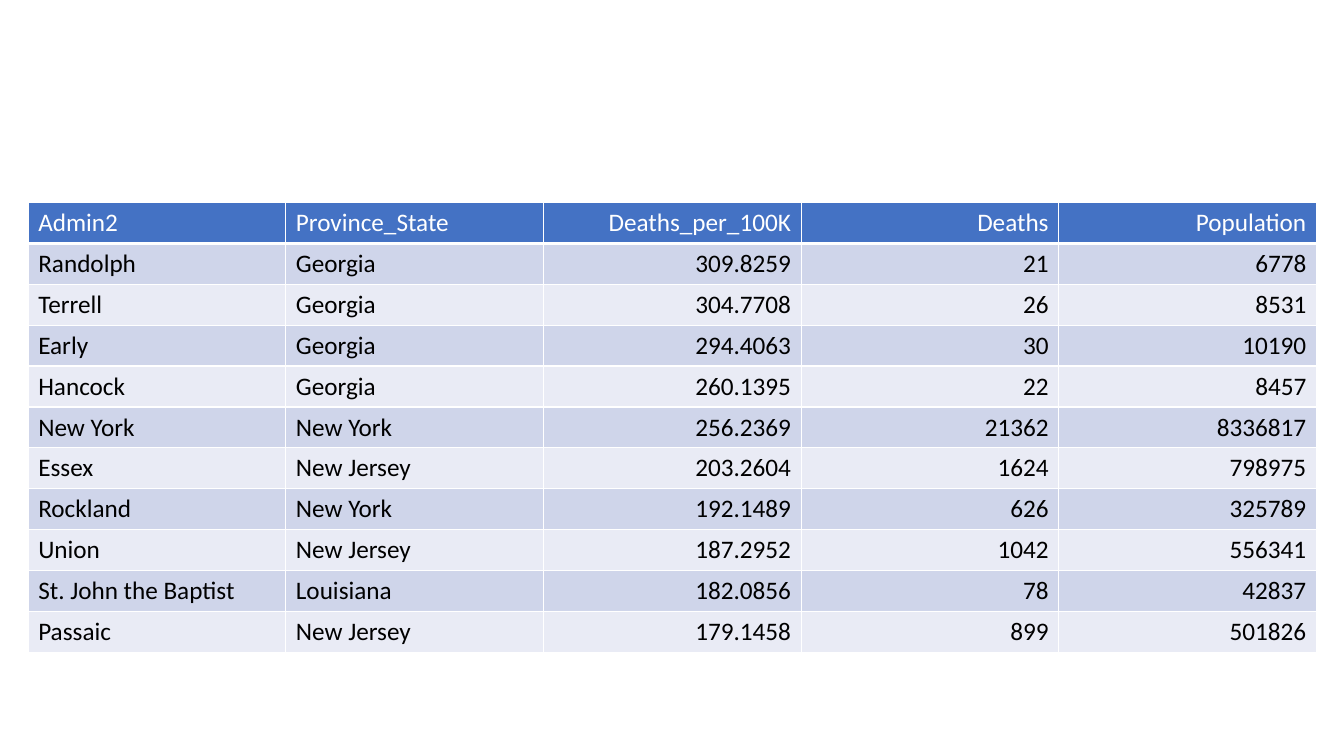
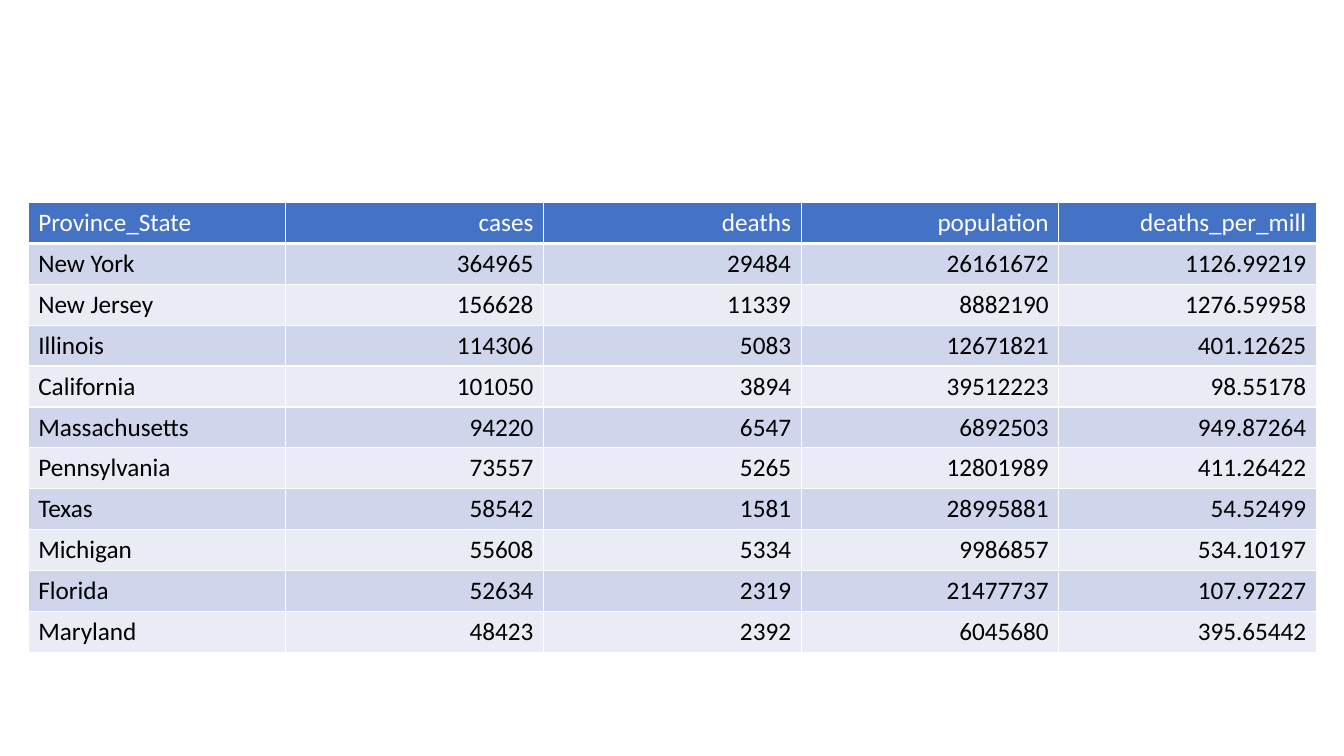
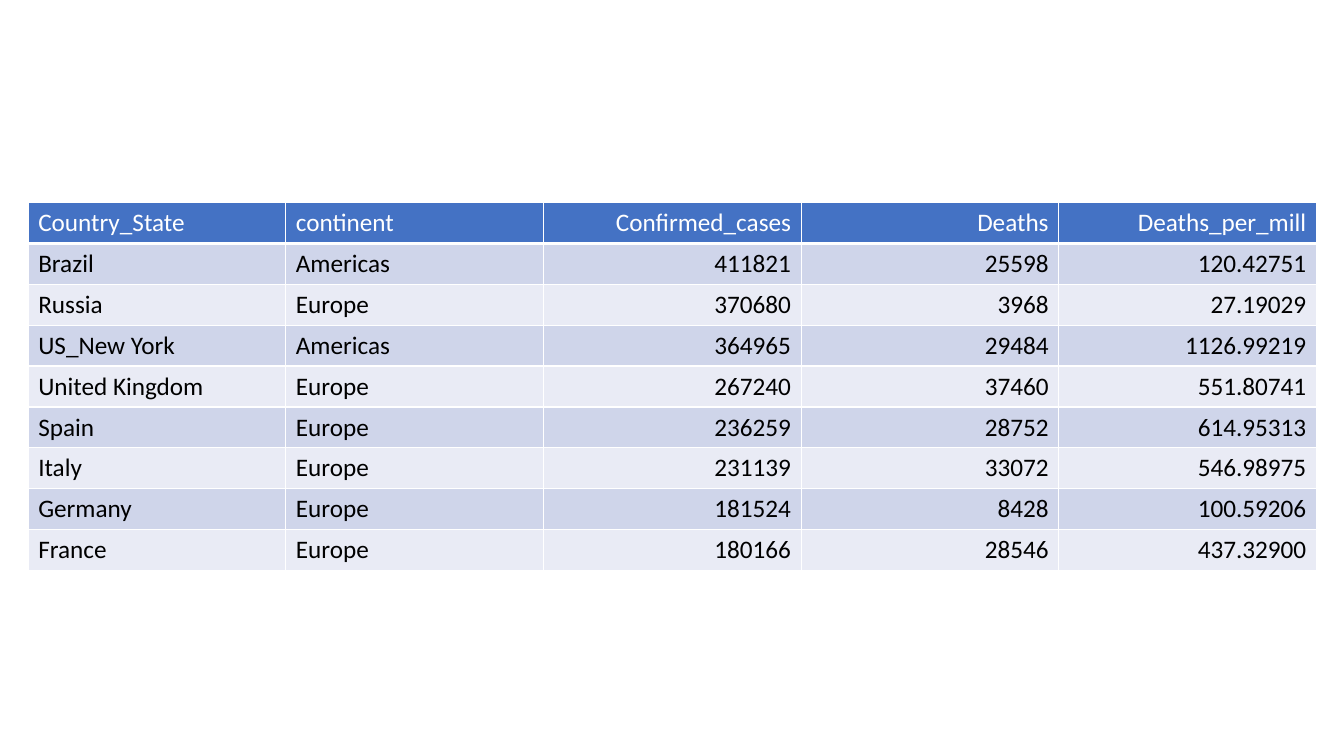
from lxml import etree
from pptx import Presentation
from pptx.dml.color import RGBColor
from pptx.enum.text import PP_ALIGN
from pptx.oxml.ns import qn
from pptx.util import Pt

LEFT, RIGHT = PP_ALIGN.LEFT, PP_ALIGN.RIGHT
WHITE = RGBColor(0xFF, 0xFF, 0xFF)
BLACK = RGBColor(0, 0, 0)
HEADER_BLUE = RGBColor(0x44, 0x72, 0xC4)
BANDS = (RGBColor(0xCF, 0xD5, 0xEA), RGBColor(0xE9, 0xEB, 0xF5))
FONT = "Calibri"
FONT_SIZE = 18
ROW_HEIGHT = 29.2
TABLE_BOX = (20.16, 144.72, 920.16)
HEADER_BORDERS = {"a:lnL": 1, "a:lnR": 1, "a:lnT": 1, "a:lnB": 3}
BLANK_LAYOUT = 6

COUNTIES = (
    ("Admin2", "Province_State", "Deaths_per_100K", "Deaths", "Population"),
    ("Randolph", "Georgia", "309.8259", "21", "6778"),
    ("Terrell", "Georgia", "304.7708", "26", "8531"),
    ("Early", "Georgia", "294.4063", "30", "10190"),
    ("Hancock", "Georgia", "260.1395", "22", "8457"),
    ("New York", "New York", "256.2369", "21362", "8336817"),
    ("Essex", "New Jersey", "203.2604", "1624", "798975"),
    ("Rockland", "New York", "192.1489", "626", "325789"),
    ("Union", "New Jersey", "187.2952", "1042", "556341"),
    ("St.\u00a0John the Baptist", "Louisiana", "182.0856", "78", "42837"),
    ("Passaic", "New Jersey", "179.1458", "899", "501826"),
)
STATES = (
    ("Province_State", "cases", "deaths", "population", "deaths_per_mill"),
    ("New York", "364965", "29484", "26161672", "1126.99219"),
    ("New Jersey", "156628", "11339", "8882190", "1276.59958"),
    ("Illinois", "114306", "5083", "12671821", "401.12625"),
    ("California", "101050", "3894", "39512223", "98.55178"),
    ("Massachusetts", "94220", "6547", "6892503", "949.87264"),
    ("Pennsylvania", "73557", "5265", "12801989", "411.26422"),
    ("Texas", "58542", "1581", "28995881", "54.52499"),
    ("Michigan", "55608", "5334", "9986857", "534.10197"),
    ("Florida", "52634", "2319", "21477737", "107.97227"),
    ("Maryland", "48423", "2392", "6045680", "395.65442"),
)
COUNTRIES = (
    ("Country_State", "continent", "Confirmed_cases", "Deaths", "Deaths_per_mill"),
    ("Brazil", "Americas", "411821", "25598", "120.42751"),
    ("Russia", "Europe", "370680", "3968", "27.19029"),
    ("US_New York", "Americas", "364965", "29484", "1126.99219"),
    ("United Kingdom", "Europe", "267240", "37460", "551.80741"),
    ("Spain", "Europe", "236259", "28752", "614.95313"),
    ("Italy", "Europe", "231139", "33072", "546.98975"),
    ("Germany", "Europe", "181524", "8428", "100.59206"),
    ("France", "Europe", "180166", "28546", "437.32900"),
)


def add_header_borders(cell):
    properties = cell._tc.get_or_add_tcPr()
    for side, width in HEADER_BORDERS.items():
        line = etree.SubElement(properties, qn(side), w=str(Pt(width)))
        fill = etree.SubElement(line, qn("a:solidFill"))
        etree.SubElement(fill, qn("a:srgbClr"), val=str(WHITE))


def format_cell(cell, text, alignment, fill_color, text_color):
    cell.fill.solid()
    cell.fill.fore_color.rgb = fill_color
    cell.text = text
    paragraph = cell.text_frame.paragraphs[0]
    paragraph.alignment = alignment
    font = paragraph.font
    font.name = FONT
    font.size = Pt(FONT_SIZE)
    font.bold = False
    font.color.rgb = text_color


def add_data_table(page, box, records, label_columns):
    left, top, width = box
    column_count = len(records[0])
    table = page.shapes.add_table(
        len(records), column_count, Pt(left), Pt(top),
        Pt(width), Pt(ROW_HEIGHT * len(records))).table
    for column in table.columns:
        column.width = Pt(width / column_count)
    for row_index, record in enumerate(records):
        table.rows[row_index].height = Pt(ROW_HEIGHT)
        is_header = row_index == 0
        fill_color = HEADER_BLUE if is_header else BANDS[(row_index - 1) % 2]
        text_color = WHITE if is_header else BLACK
        for column_index, text in enumerate(record):
            cell = table.cell(row_index, column_index)
            if is_header:
                add_header_borders(cell)
            alignment = LEFT if column_index < label_columns else RIGHT
            format_cell(cell, text, alignment, fill_color, text_color)


deck = Presentation()
deck.slide_width, deck.slide_height = Pt(960), Pt(540)
for records, label_columns in ((COUNTIES, 2), (STATES, 1), (COUNTRIES, 2)):
    page = deck.slides.add_slide(deck.slide_layouts[BLANK_LAYOUT])
    add_data_table(page, TABLE_BOX, records, label_columns)
deck.save("out.pptx")
